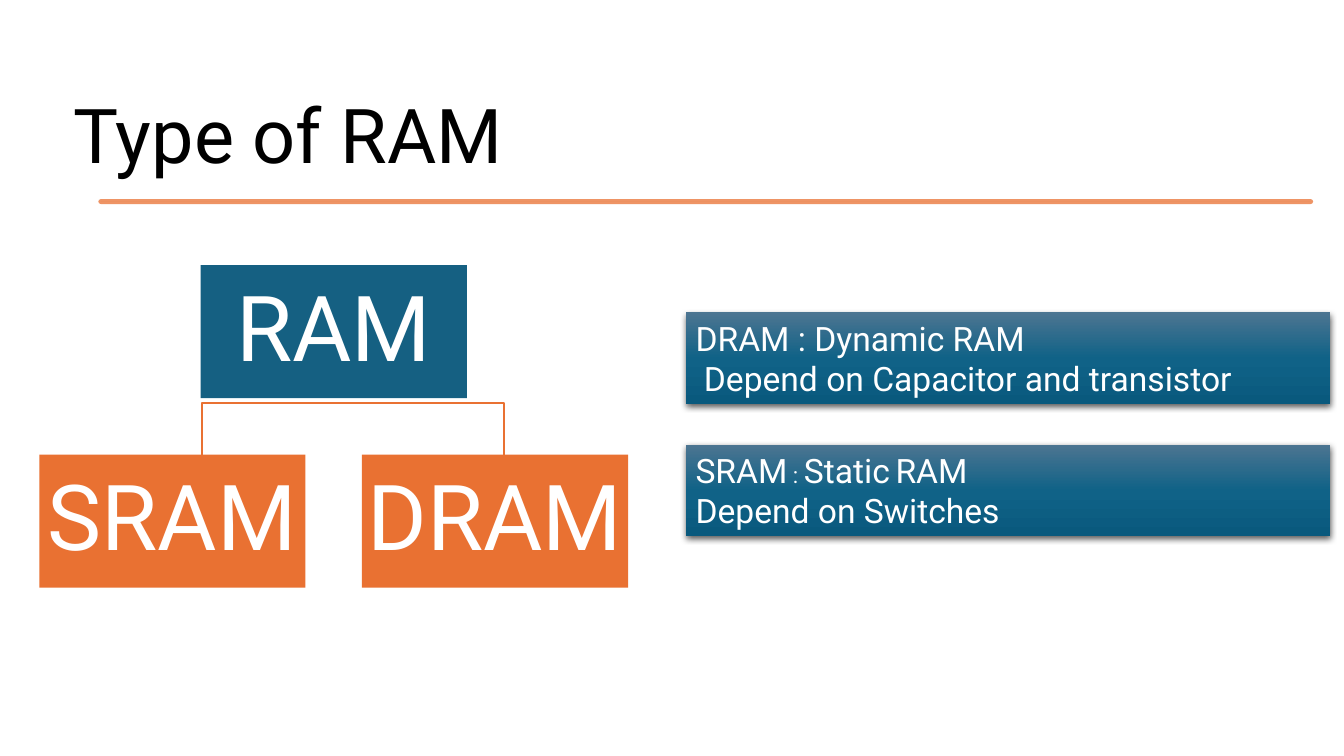
from lxml import etree
from pptx import Presentation, util as u
from pptx.dml.color import RGBColor
from pptx.enum import shapes, text
from pptx.oxml import ns, parse_xml

COLORS = {
    "black": "000000", "white": "FFFFFF", "blue": "156082", "orange": "E97132",
    "panel_top": "4C7591", "panel_mid": "106287", "panel_end": "09597D",
}
FONT = "Roboto"
NODE_W, NODE_H = 2.64, 1.32
ROOT_X, ROOT_Y = 1.99, 2.63
CHILD_Y, CHILD_OFFSET = 4.51, 1.6

# Brush edges: end of each curve, then the pull of its two handles in 1/100 inch
BRUSH_TOP = [
    (1.02, 0, 1), (1.77, -2, 1), (2.76, -1, -3), (3.51, 3, -2), (3.9, 2, 1),
    (4.41, -1, 1), (5.4, -1, 0), (6.39, -1, -5), (7.38, 5, 0), (7.77, 0, 1),
    (8.52, -1, 0), (9.15, 0, -1), (9.54, 1, 2), (10.53, -2, 0), (10.92, 1, 1),
    (11.31, -1, 1), (11.94, -1, -1), (12.63, 1, -1),
]
BRUSH_BOTTOM = [
    (11.76, 1, -3), (11.37, 3, 1), (10.98, -1, 1), (10.23, -2, 1),
    (9.84, -1, -2), (9.09, 2, 2), (8.22, -2, 2), (7.47, -2, 3), (6.6, -3, -3),
    (5.73, 2, 0), (5.34, 0, -2), (4.83, 2, -1), (4.2, 1, 0), (3.45, 0, -1),
    (2.46, 1, 1), (1.59, -1, 3), (0.63, -4, -2),
]


def rgb(name):
    return RGBColor.from_string(COLORS[name])


def write(shape, paragraphs, size=24, color="white", align=None, spacing=None,
          anchor=text.MSO_ANCHOR.TOP, inset=None):
    """Each paragraph is a string or a list of (words, size) runs."""
    frame = shape.text_frame
    frame.word_wrap = True
    frame.vertical_anchor = anchor
    if inset is not None:
        frame.margin_left = frame.margin_right = u.Inches(inset)
        frame.margin_top = frame.margin_bottom = u.Inches(inset)
    for i, content in enumerate(paragraphs):
        para = frame.add_paragraph() if i else frame.paragraphs[0]
        para.alignment = align or text.PP_ALIGN.LEFT
        if spacing:
            para.line_spacing = spacing
        for words, points in [(content, size)] if isinstance(content, str) else content:
            run = para.add_run()
            run.text = words
            run.font.name = FONT
            run.font.size = u.Pt(points)
            run.font.color.rgb = rgb(color)


def add_box(slide, x, y, w, h, color):
    box = slide.shapes.add_shape(shapes.MSO_SHAPE.RECTANGLE,
                                 *(u.Inches(v) for v in (x, y, w, h)))
    box.fill.solid()
    box.fill.fore_color.rgb = rgb(color)
    box.line.fill.background()
    box.shadow.inherit = False
    return box


def add_outline(slide, points, width, close=False):
    builder = slide.shapes.build_freeform(*points[0], scale=u.Inches(1))
    builder.add_line_segments(points[1:], close=close)
    outline = builder.convert_to_shape()
    outline.fill.background()
    outline.line.color.rgb = rgb("orange")
    outline.line.width = u.Pt(width)
    outline.shadow.inherit = False
    return outline


def brush_edge(start, y, curves, steps=6):
    points = [(start, y)]
    for end, pull_1, pull_2 in curves:
        for step in range(1, steps + 1):
            t = step / steps
            wobble = 3 * t * (1 - t) * ((1 - t) * pull_1 + t * pull_2) / 100
            points.append((start + (end - start) * t, y + wobble))
        start = end
    return points


def add_brush_rule(slide):
    edge = brush_edge(0.63, 1.84, BRUSH_TOP) + brush_edge(12.63, 1.86, BRUSH_BOTTOM)
    rule = add_outline(slide, edge, 3.5, close=True)
    rule.fill.solid()
    rule.fill.fore_color.rgb = rgb("orange")
    for tint in rule._element.spPr.iter(ns.qn("a:srgbClr")):
        etree.SubElement(tint, ns.qn("a:alpha"), val="75000")


def add_node(slide, label, x, y, color):
    node = add_box(slide, x, y, NODE_W, NODE_H, color)
    write(node, [label], size=65, align=text.PP_ALIGN.CENTER, spacing=0.9,
          anchor=text.MSO_ANCHOR.MIDDLE, inset=0.05)


def add_branch(slide, child_x):
    root_mid, child_mid = ROOT_X + NODE_W / 2, child_x + NODE_W / 2
    root_end = ROOT_Y + NODE_H
    bend = (root_end + CHILD_Y) / 2
    add_outline(slide, [(root_mid, root_end), (root_mid, bend),
                        (child_mid, bend), (child_mid, CHILD_Y)], 1.5)


def add_panel(slide, y, paragraphs):
    panel = add_box(slide, 6.8, y, 6.39, 0.91, "panel_mid")
    props = panel._element.spPr
    # Three-stop vertical gradient
    stops = "".join(
        f'<a:gs pos="{pos}"><a:srgbClr val="{COLORS[name]}"/></a:gs>'
        for pos, name in ((0, "panel_top"), (50000, "panel_mid"), (100000, "panel_end")))
    gradient = parse_xml(f'<a:gradFill {ns.nsdecls("a")} rotWithShape="1">'
                         f'<a:gsLst>{stops}</a:gsLst><a:lin ang="5400000" scaled="0"/>'
                         '</a:gradFill>')
    props.replace(props.find(ns.qn("a:solidFill")), gradient)
    # Soft shadow below
    props.find(ns.qn("a:effectLst")).append(parse_xml(
        f'<a:outerShdw {ns.nsdecls("a")} blurRad="{u.Pt(4.5)}" dist="{u.Pt(1.5)}" '
        f'dir="5400000" algn="ctr" rotWithShape="0"><a:srgbClr val="{COLORS["black"]}">'
        '<a:alpha val="63000"/></a:srgbClr></a:outerShdw>'))
    write(panel, paragraphs)
    panel.text_frame.auto_size = text.MSO_AUTO_SIZE.SHAPE_TO_FIT_TEXT


def main():
    deck = Presentation()
    deck.slide_width, deck.slide_height = u.Inches(13.33), u.Inches(7.5)
    slide = deck.slides.add_slide(deck.slide_layouts[6])

    # Title and brush rule
    title = slide.shapes.add_textbox(*(u.Inches(v) for v in (0.63, 0.26, 12.05, 1.57)))
    write(title, ["Type of RAM"], size=54, color="black", spacing=0.9,
          anchor=text.MSO_ANCHOR.BOTTOM)
    add_brush_rule(slide)

    # Memory tree
    add_node(slide, "RAM", ROOT_X, ROOT_Y, "blue")
    for label, side in (("SRAM", -1), ("DRAM", 1)):
        child_x = ROOT_X + side * CHILD_OFFSET
        add_branch(slide, child_x)
        add_node(slide, label, child_x, CHILD_Y, "orange")

    # Definitions
    add_panel(slide, 3.1, ["DRAM : Dynamic RAM", " Depend on Capacitor and transistor"])
    add_panel(slide, 4.41, [
        [("SRAM", 24), (" : ", 16), ("Static", 24), (" ", 16), ("RAM", 24)],
        "Depend on Switches"])

    deck.save("out.pptx")


if __name__ == "__main__":
    main()
